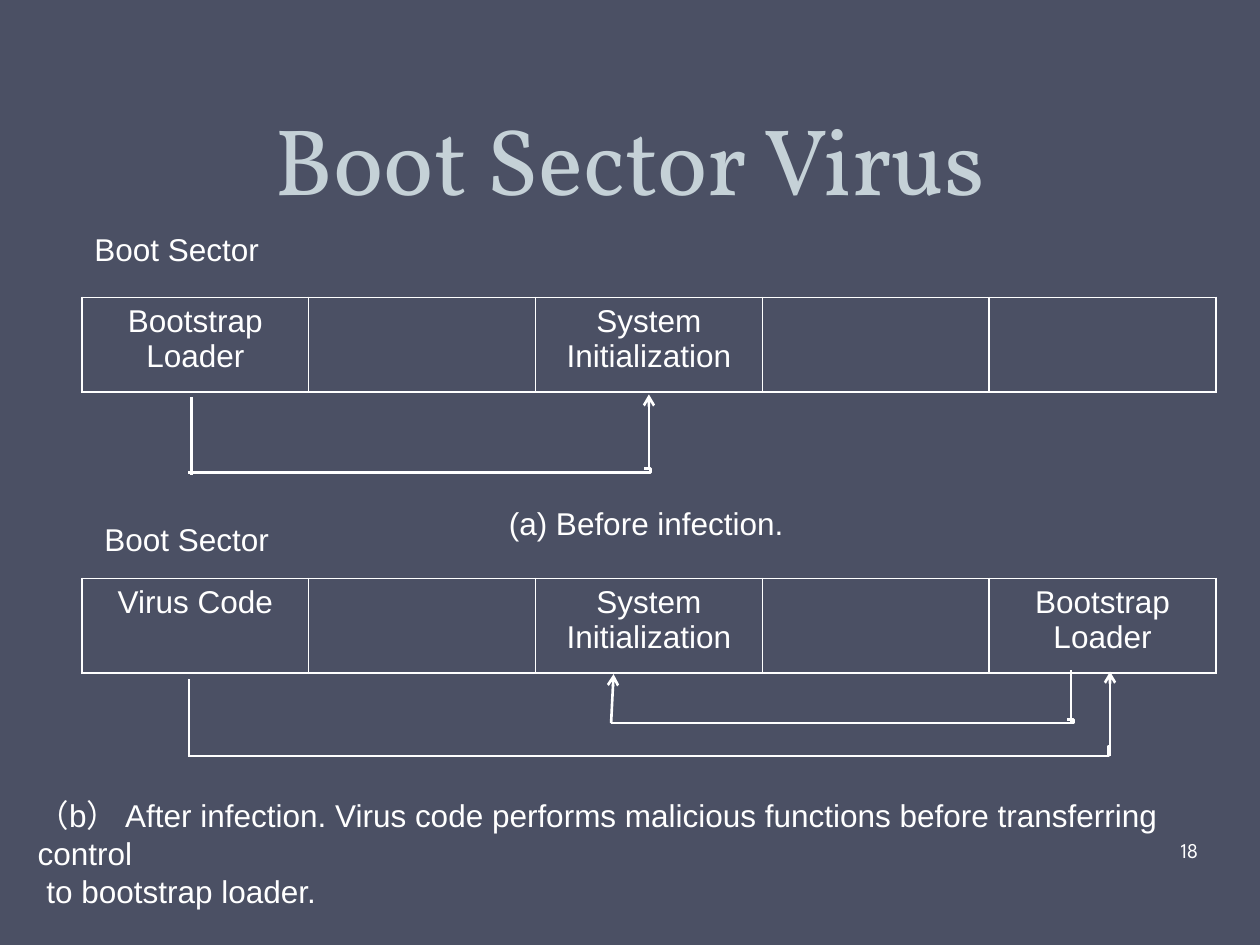
from dataclasses import dataclass

from lxml.etree import SubElement
from pptx import Presentation
from pptx.dml.color import RGBColor
from pptx.enum.shapes import MSO_CONNECTOR
from pptx.enum.text import MSO_ANCHOR, MSO_AUTO_SIZE, PP_ALIGN
from pptx.oxml.ns import qn
from pptx.util import Inches, Pt


@dataclass(frozen=True)
class Theme:
    """Colours, fonts and type sizes of the slide."""
    background: str = "4B5064"
    title_color: str = "C5D1D7"
    ink: str = "FFFFFF"
    title_font: str = "Vollkorn"
    body_font: str = "Arial"
    number_font: str = "League Spartan"
    title_size: int = 54
    title_leading: int = 58
    body_size: int = 18
    number_size: int = 12
    line_width: float = 1.5
    border_width: float = 1


def apply(target, values):
    """Set every attribute named in a dict of format values."""
    for name, value in values.items():
        setattr(target, name, value)


class SlideBuilder:
    """Holds the theme and the current slide."""

    def __init__(self, presentation, theme):
        """Add a title-only slide with a plain background."""
        self.theme = theme
        self.slide = presentation.slides.add_slide(presentation.slide_layouts[5])
        fill = self.slide.background.fill
        fill.solid()
        fill.fore_color.rgb = RGBColor.from_string(theme.background)

    def add_text(self, paragraph, text, size=None, font=None, color=None):
        """Put one formatted run in a paragraph."""
        run = paragraph.add_run()
        run.text = text
        apply(run.font, {
            "size": Pt(size or self.theme.body_size),
            "name": font or self.theme.body_font,
        })
        run.font.color.rgb = RGBColor.from_string(color or self.theme.ink)

    def title(self, text, left, top, width, height):
        """Move and fill the title placeholder."""
        shape = self.slide.shapes.title
        apply(shape, {"left": Inches(left), "top": Inches(top),
                      "width": Inches(width), "height": Inches(height)})
        apply(shape.text_frame, {"vertical_anchor": MSO_ANCHOR.BOTTOM, "word_wrap": True,
                                 "auto_size": MSO_AUTO_SIZE.NONE})
        paragraph = shape.text_frame.paragraphs[0]
        apply(paragraph, {"alignment": PP_ALIGN.CENTER,
                          "line_spacing": Pt(self.theme.title_leading)})
        self.add_text(paragraph, text, self.theme.title_size,
                      self.theme.title_font, self.theme.title_color)

    def label(self, lines, left, top, width, height, wrap=False):
        """Add a text box with one paragraph for each line."""
        frame = self.slide.shapes.add_textbox(
            Inches(left), Inches(top), Inches(width), Inches(height)).text_frame
        apply(frame, {"word_wrap": wrap, "auto_size": MSO_AUTO_SIZE.SHAPE_TO_FIT_TEXT})
        for index, line in enumerate(lines):
            paragraph = frame.add_paragraph() if index else frame.paragraphs[0]
            self.add_text(paragraph, line)

    def page_number(self, text, left, top, width, height):
        """Add the page number."""
        frame = self.slide.shapes.add_textbox(
            Inches(left), Inches(top), Inches(width), Inches(height)).text_frame
        apply(frame, {"word_wrap": True, "vertical_anchor": MSO_ANCHOR.MIDDLE,
                      "margin_left": Inches(0.03), "margin_right": Inches(0.05)})
        self.add_text(frame.paragraphs[0], text, self.theme.number_size,
                      self.theme.number_font)

    def border(self, cell):
        """Draw the four borders of a cell."""
        properties = cell._tc.get_or_add_tcPr()
        for side in ("a:lnL", "a:lnR", "a:lnT", "a:lnB"):
            line = SubElement(properties, qn(side), w=str(Pt(self.theme.border_width)))
            fill = SubElement(line, qn("a:solidFill"))
            SubElement(fill, qn("a:srgbClr"), val=self.theme.ink)

    def sectors(self, texts, left, top, width, height):
        """Add a one-row table of disk sectors."""
        table = self.slide.shapes.add_table(
            1, len(texts), Inches(left), Inches(top), Inches(width), Inches(height)).table
        apply(table, {"first_row": False, "horz_banding": False})
        for cell, text in zip(table.rows[0].cells, texts):
            self.border(cell)
            cell.fill.background()
            paragraph = cell.text_frame.paragraphs[0]
            paragraph.alignment = PP_ALIGN.CENTER
            if text:
                self.add_text(paragraph, text)

    def line(self, start, end, arrow=False, bend=None):
        """Add a straight or bent line, with an optional arrowhead at its start."""
        kind = MSO_CONNECTOR.ELBOW if bend else MSO_CONNECTOR.STRAIGHT
        connector = self.slide.shapes.add_connector(
            kind, *(Inches(value) for value in (*start, *end)))
        connector.line.width = Pt(self.theme.line_width)
        connector.line.color.rgb = RGBColor.from_string(self.theme.ink)
        properties = connector._element.spPr
        if arrow:
            SubElement(properties.find(qn("a:ln")), qn("a:headEnd"), type="arrow")
        if bend:
            geometry = properties.find(qn("a:prstGeom"))
            guides = geometry.find(qn("a:avLst"))
            if guides is None:
                guides = SubElement(geometry, qn("a:avLst"))
            SubElement(guides, qn("a:gd"), name="adj1", fmla=f"val {round(bend * 100000)}")
        SubElement(properties, qn("a:effectLst"))


def main():
    """Build and save the slide."""
    presentation = Presentation()
    apply(presentation, {"slide_width": Inches(10), "slide_height": Inches(7.5)})
    builder = SlideBuilder(presentation, Theme())
    builder.title("Boot Sector Virus", 0.5, 0, 9, 1.75)
    builder.page_number("18", 9.34, 6.55, 0.61, 0.4)

    system = "System Initialization"
    loader = "Bootstrap Loader"
    for top, texts in (
        (4.59, ("Virus Code", "", system, "", loader)),
        (2.36, (loader, "", system, "", "")),
    ):
        builder.sectors(texts, 0.65, top, 9, 0.75)

    for start, end, bend in (
        ((1.49, 6), (8.81, 5.92), 0.998),
        ((1.49, 3.75), (5.11, 3.72), 1.014),
        ((4.85, 5.74), (8.47, 5.71), 1.014),
    ):
        builder.line(start, end, bend=bend)

    for start, end, arrow in (
        ((1.5, 5.39), (1.5, 6), False),
        ((8.81, 5.33), (8.81, 6), True),
        ((1.52, 3.15), (1.52, 3.77), False),
        ((5.15, 3.13), (5.15, 3.71), True),
        ((4.87, 5.35), (4.85, 5.74), True),
        ((8.5, 5.32), (8.5, 5.74), False),
    ):
        builder.line(start, end, arrow)

    for text, left, top, width in (
        ("Boot Sector", 0.65, 1.78, 1.52),
        ("Boot Sector", 0.73, 4.08, 1.52),
        ("(a) Before infection.", 3.94, 3.95, 2.4),
    ):
        builder.label([text], left, top, width, 0.4)
    builder.label(
        ["（b） After infection. Virus code performs malicious functions "
         "before transferring control", " to bootstrap loader."],
        0.2, 6.27, 9.79, 0.71, wrap=True)
    presentation.save("out.pptx")


if __name__ == "__main__":
    main()
